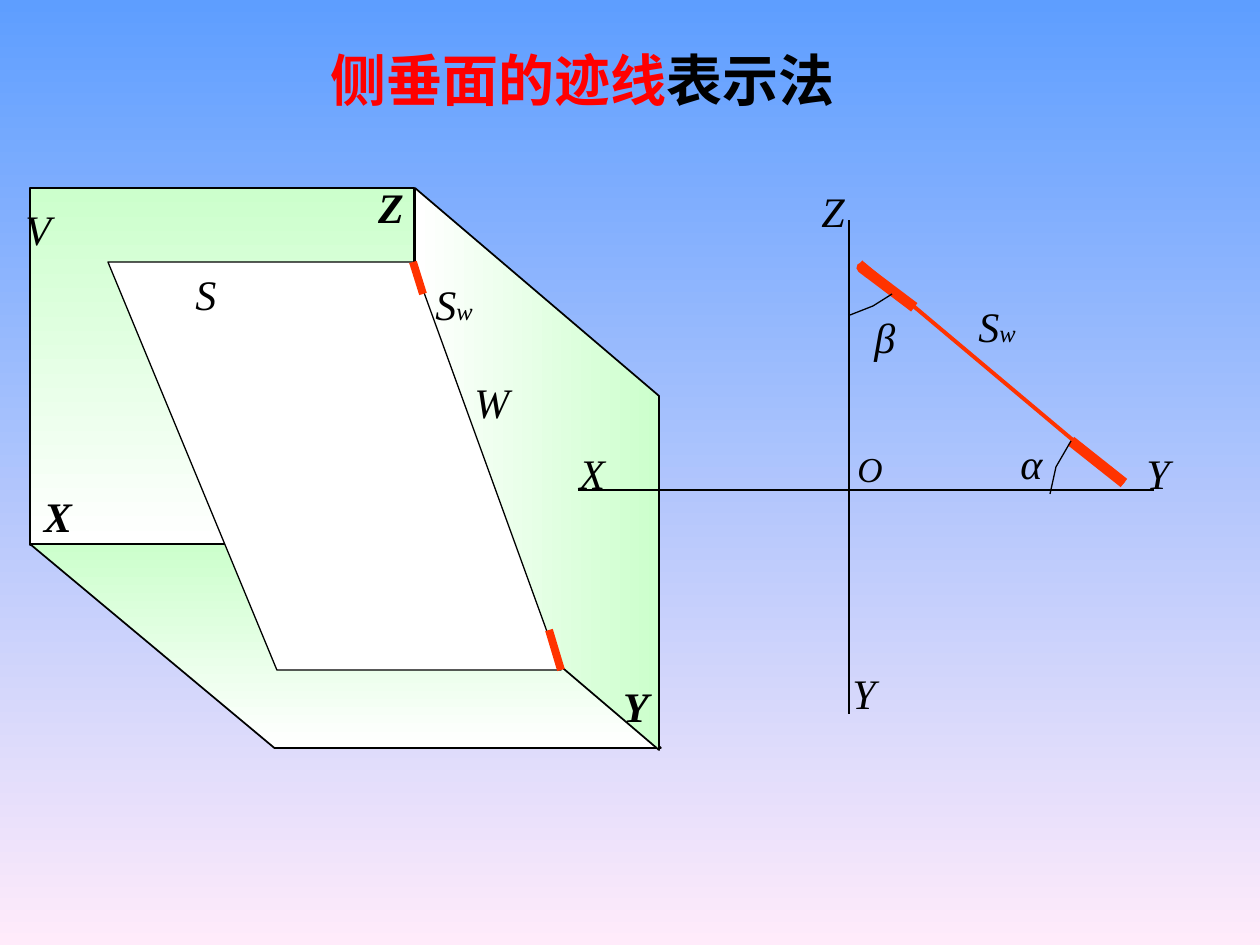
from lxml import etree
from pptx import Presentation
from pptx.dml.color import RGBColor
from pptx.enum import shapes, text
from pptx.oxml import ns
from pptx.util import Pt

SCALE = 914400 / 126
HUES = {"sky": "5E9EFF", "pink": "FFEBFA", "mint": "CCFFCC", "white": "FFFFFF",
        "black": "000000", "red": "FF0000", "trace": "FF3300"}


def emu(px):
    """Turn px into EMU."""
    return round(px * SCALE)


def hue(name):
    """Look up a colour by name."""
    return RGBColor.from_string(HUES[name])


def blend(fill, first, last, angle=270):
    """Fill with an even two-colour gradient."""
    fill.gradient()
    fill.gradient_angle = angle
    for stop, name, at in zip(fill.gradient_stops, (first, last), (0, 1)):
        stop.color.rgb = hue(name)
        stop.position = at


def write(slide, box, *parts, size=24, bold=False, center=False, wrap=True, font="Times New Roman",
          italic=True, middle=False):
    """Add a text box whose parts are (words, colour, size) or plain words."""
    frame = slide.shapes.add_textbox(*map(emu, box)).text_frame
    frame.word_wrap = wrap
    if middle:
        frame.vertical_anchor = text.MSO_ANCHOR.MIDDLE
    para = frame.paragraphs[0]
    para.alignment = text.PP_ALIGN.CENTER if center else text.PP_ALIGN.LEFT
    for part in parts:
        words, name, points = (part, "black", size) if isinstance(part, str) else part
        run = para.add_run()
        run.text = words
        run.font.name, run.font.size = font, Pt(points)
        run.font.bold, run.font.italic = bold, italic
        run.font.color.rgb = hue(name)


def wall(slide, kind, box, angle=270, skew=None):
    """Add one shaded projection plane."""
    shape = slide.shapes.add_shape(kind, *map(emu, box))
    shape.shadow.inherit = False
    blend(shape.fill, "mint", "white", angle)
    shape.line.color.rgb = hue("black")
    shape.line.width = Pt(1)
    if skew:
        shape.adjustments[0] = skew
    return shape


def rule(slide, x, y, ends, name="black", width=0.75):
    """Add a straight line relative to a corner."""
    (ax, ay), (bx, by) = ends
    line = slide.shapes.add_connector(shapes.MSO_CONNECTOR.STRAIGHT,
                                      *map(emu, (x + ax, y + ay, x + bx, y + by)))
    line.line.color.rgb = hue(name)
    line.line.width = Pt(width)
    etree.SubElement(line._element.spPr, ns.qn("a:effectLst"))


def path(slide, x, y, spots, name="black", width=0.75, fill=None):
    """Add a freeform through spots, closed when it has a fill."""
    first, *rest = [(x + px, y + py) for px, py in spots]
    maker = slide.shapes.build_freeform(*first, scale=SCALE)
    maker.add_line_segments(rest, close=bool(fill))
    shape = maker.convert_to_shape()
    shape.shadow.inherit = False
    if fill:
        shape.fill.solid()
        shape.fill.fore_color.rgb = hue(fill)
    else:
        shape.fill.background()
    shape.line.color.rgb = hue(name)
    shape.line.width = Pt(width)
    return shape


def title(slide, box):
    """Write the heading."""
    write(slide, box, ("侧垂面的迹线", "red", 32), ("表示法", "black", 32), font="Arial",
          bold=True, italic=False, center=True, middle=True)


def room(slide, x, y):
    """Draw the three planes cut by plane S, from the top left corner."""
    kinds = shapes.MSO_SHAPE
    wall(slide, kinds.RECTANGLE, (x, y, 384, 357))
    floor = wall(slide, kinds.PARALLELOGRAM, (x, y + 356, 631, 204), skew=1.198)
    floor._element.spPr.get_or_add_xfrm().set("flipH", "1")
    side = wall(slide, kinds.PARALLELOGRAM, (x + 226, y + 159, 562, 244), angle=90, skew=0.852)
    side.rotation = 270
    for word, dx, dy in (("X", -15, 296), ("Z", 318, -13), ("Y", 563, 486)):
        write(slide, (x + dx, y + dy, 86, 63), word, bold=True, center=True)
    write(slide, (x - 17, y + 9, 66, 63), "V")
    write(slide, (x + 432, y + 182, 105, 63), "W")
    write(slide, (x + 393, y + 84, 84, 63), "S", ("w", "black", 14))
    path(slide, x, y, [(383, 74), (531, 482), (247, 482), (78, 74)], fill="white")
    for ends in (((383, 74), (393, 106)), ((519, 442), (531, 482))):
        rule(slide, x, y, ends, "trace", 4.5)
    write(slide, (x + 153, y + 74, 84, 63), "S")


def axes(slide, x, y):
    """Draw the projection axes and the trace, from the point O."""
    rule(slide, x, y, ((0, 224), (0, -270)))
    rule(slide, x, y, ((305, 0), (-271, 0)))
    rule(slide, x, y, ((275, -7), (12, -228)), "trace", 2.25)
    path(slide, x, y, [(222, -49), (275, -7)], "trace", 6)
    path(slide, x, y, [(22, -217), (14, -224), (64, -181)], "trace", 6).rotation = -3.6
    path(slide, x, y, [(1, -175), (24, -184), (43, -196)])
    path(slide, x, y, [(222, -49), (207, -23), (201, 4)])
    for word, dx, dy, wide in (("Z", -40, -311, 145), ("X", -282, -49, 63),
                               ("Y", -9, 171, 108), ("Y", 285, -49, 53)):
        write(slide, (x + dx, y + dy, wide, 63), word)
    write(slide, (x - 4, y - 49, 47, 55), "O", size=20)
    write(slide, (x + 117, y - 196, 136, 63), "S", ("w", "black", 14))
    for word, dx, dy in (("α", 159, -59), ("β", 13, -185)):
        write(slide, (x + dx, y + dy, 46, 63), word, wrap=False)


def main():
    """Build the slide and save it."""
    deck = Presentation()
    deck.slide_width, deck.slide_height = emu(1260), emu(945)
    slide = deck.slides.add_slide(deck.slide_layouts[6])
    blend(slide.background.fill, "sky", "pink")
    room(slide, 30, 188)
    title(slide, (160, 37, 845, 84))
    axes(slide, 849, 490)
    deck.save("out.pptx")


if __name__ == "__main__":
    main()
